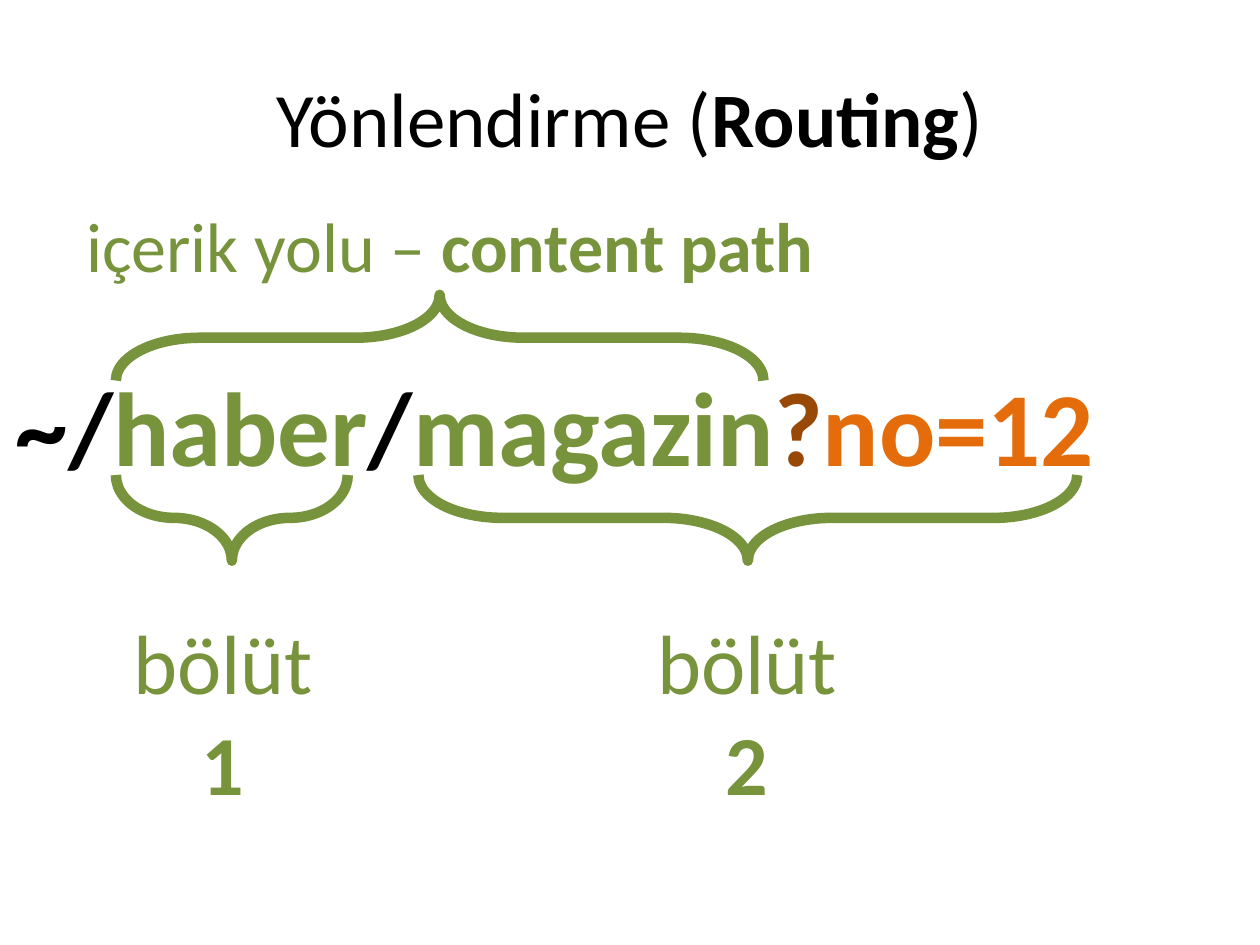
from pptx import Presentation
from pptx.dml.color import RGBColor
from pptx.enum.shapes import MSO_SHAPE
from pptx.enum.text import MSO_ANCHOR, PP_ALIGN
from pptx.util import Inches, Pt

BRACE = MSO_SHAPE.RIGHT_BRACE
CENTER = PP_ALIGN.CENTER
TOP, MIDDLE = MSO_ANCHOR.TOP, MSO_ANCHOR.MIDDLE
COLORS = {"black": "000000", "green": "77933C", "brown": "984807", "orange": "E46C0A"}
BRACE_DEPTH = 0.68


class RoutingSlide:
    """Draws centred text and curly braces in one style on a slide."""

    font_name = "Calibri"
    line_width = Pt(6)

    def __init__(self, slide):
        self.slide = slide

    def text(self, left, top, width, height, size, paragraphs, anchor=TOP):
        box = self.slide.shapes.add_textbox(
            Inches(left), Inches(top), Inches(width), Inches(height))
        frame = box.text_frame
        frame.word_wrap = True
        frame.vertical_anchor = anchor
        for index, runs in enumerate(paragraphs):
            paragraph = frame.add_paragraph() if index else frame.paragraphs[0]
            paragraph.alignment = CENTER
            for content, color, bold in runs:
                run = paragraph.add_run()
                run.text = content
                run.font.color.rgb = RGBColor.from_string(COLORS[color])
                formats = {"name": self.font_name, "size": Pt(size), "bold": bold}
                for name, value in formats.items():
                    setattr(run.font, name, value)

    def brace(self, left, top, width, rotation):
        offset = (width - BRACE_DEPTH) / 2
        shape = self.slide.shapes.add_shape(
            BRACE, Inches(left + offset), Inches(top - offset),
            Inches(BRACE_DEPTH), Inches(width))
        shape.rotation = rotation
        shape.shadow.inherit = False
        shape.adjustments[0] = 0.98
        shape.adjustments[1] = 0.5
        shape.fill.background()
        shape.line.color.rgb = RGBColor.from_string(COLORS["green"])
        shape.line.width = self.line_width


presentation = Presentation()
presentation.slide_width = Inches(10)
presentation.slide_height = Inches(7.5)
routing = RoutingSlide(presentation.slides.add_slide(presentation.slide_layouts[6]))

routing.text(0, 2.82, 8.81, 1.18, 60, [[
    ("~/", "black", True), ("haber", "green", True), ("/", "black", True),
    ("magazin", "green", True), ("?", "brown", True), ("no=12", "orange", True)]])
routing.text(0.5, 0.3, 9, 1.25, 44, [[
    ("Yönlendirme (", "black", False), ("Routing", "black", True),
    (")", "black", False)]], MIDDLE)

segments = [("1", 0.92, 1.84, 0.43, 2.68), ("2", 3.32, 5.23, 4.52, 2.82)]
for number, brace_left, brace_width, label_left, label_width in segments:
    routing.brace(brace_left, 3.77, brace_width, 90)
    routing.text(label_left, 4.8, label_width, 1.72, 48, [
        [("bölüt", "green", False)], [(number, "green", True)]])

routing.brace(0.92, 2.34, 5.14, 270)
routing.text(0.24, 1.56, 6.66, 0.77, 40, [[
    ("içerik yolu – ", "green", False), ("content path", "green", True)]])

presentation.save("out.pptx")
